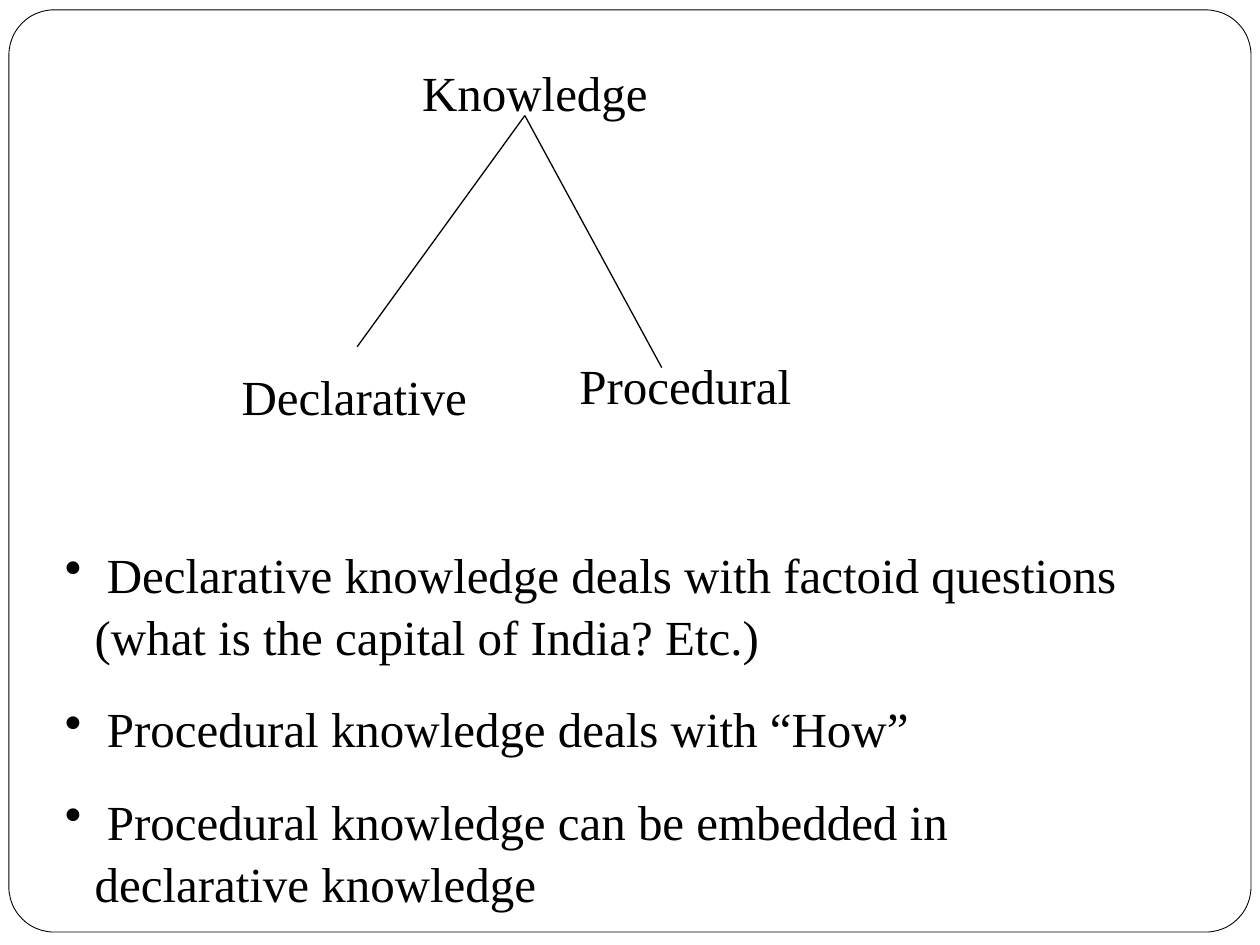
from dataclasses import dataclass

from lxml import etree
from pptx import Presentation
from pptx.dml.color import RGBColor
from pptx.enum.shapes import MSO_CONNECTOR, MSO_SHAPE
from pptx.enum.text import MSO_AUTO_SIZE
from pptx.oxml.ns import qn
from pptx.util import Cm, Pt

STRAIGHT = MSO_CONNECTOR.STRAIGHT
ROUNDED = MSO_SHAPE.ROUNDED_RECTANGLE
GROW = MSO_AUTO_SIZE.SHAPE_TO_FIT_TEXT


@dataclass(frozen=True)
class Theme:
    ink: RGBColor = RGBColor(0, 0, 0)
    paper: RGBColor = RGBColor(255, 255, 255)
    font: str = "Times New Roman"
    size: float = 28
    line_spacing: float = 1.05
    gap: float = 17.5
    frame_line: float = 0.5
    branch_line: float = 0.75


@dataclass(frozen=True)
class Text:
    """A text box, with its place in centimetres."""
    left: float
    top: float
    width: float
    height: float
    lines: tuple[str, ...]
    bulleted: bool = False


THEME = Theme()
BULLET_INDENT = Cm(0.6)

LABELS = (
    Text(8.26, 1.07, 6.35, 1.45, ("Knowledge",)),
    Text(4.62, 7.2, 5.92, 1.45, ("Declarative",)),
    Text(11.43, 6.99, 7.41, 1.45, ("Procedural",)),
)
NOTES = Text(1.06, 10.8, 22.23, 7.42, (
    " Declarative knowledge deals with factoid questions "
    "(what is the capital of India? Etc.)",
    " Procedural knowledge deals with “How”",
    " Procedural knowledge can be embedded in declarative knowledge",
), bulleted=True)

ROOT = (10.58, 2.33)
BRANCH_ENDS = ((7.2, 6.99), (13.34, 7.41))


def add_frame(slide) -> None:
    sp = slide.shapes.add_shape(ROUNDED, Cm(0.18), Cm(0.2), Cm(25.04), Cm(18.59))
    sp.adjustments[0] = 0.049
    sp.shadow.inherit = False
    sp.fill.solid()
    sp.fill.fore_color.rgb = THEME.paper
    sp.line.color.rgb = THEME.ink
    sp.line.width = Pt(THEME.frame_line)


def add_bullet(p) -> None:
    pPr = p._p.get_or_add_pPr()
    pPr.set("marL", str(BULLET_INDENT))
    pPr.set("indent", str(-BULLET_INDENT))
    etree.SubElement(pPr, qn("a:buChar")).set("char", "•")


def add_text(slide, text: Text) -> None:
    box = slide.shapes.add_textbox(
        Cm(text.left), Cm(text.top), Cm(text.width), Cm(text.height))
    tf = box.text_frame
    tf.word_wrap = True
    tf.auto_size = GROW
    tf.text = "\n".join(text.lines)
    for i, p in enumerate(tf.paragraphs):
        if text.bulleted:
            add_bullet(p)
        p.line_spacing = THEME.line_spacing
        p.space_before = Pt(THEME.gap if i else 0)
        for r in p.runs:
            r.font.name = THEME.font
            r.font.size = Pt(THEME.size)
            r.font.color.rgb = THEME.ink


def add_branch(slide, start: tuple[float, float], end: tuple[float, float]) -> None:
    line = slide.shapes.add_connector(
        STRAIGHT, *(Cm(value) for value in (*start, *end)))
    line.line.color.rgb = THEME.ink
    line.line.width = Pt(THEME.branch_line)
    etree.SubElement(line._element.spPr, qn("a:effectLst"))


def main() -> None:
    prs = Presentation()
    prs.slide_width, prs.slide_height = Cm(25.4), Cm(19.05)
    s = prs.slides.add_slide(prs.slide_layouts[6])

    # Border around the slide
    add_frame(s)

    # Tree of knowledge types
    for end in BRANCH_ENDS:
        add_branch(s, ROOT, end)
    for label in LABELS:
        add_text(s, label)

    # Explanations
    add_text(s, NOTES)

    prs.save("out.pptx")


if __name__ == "__main__":
    main()
